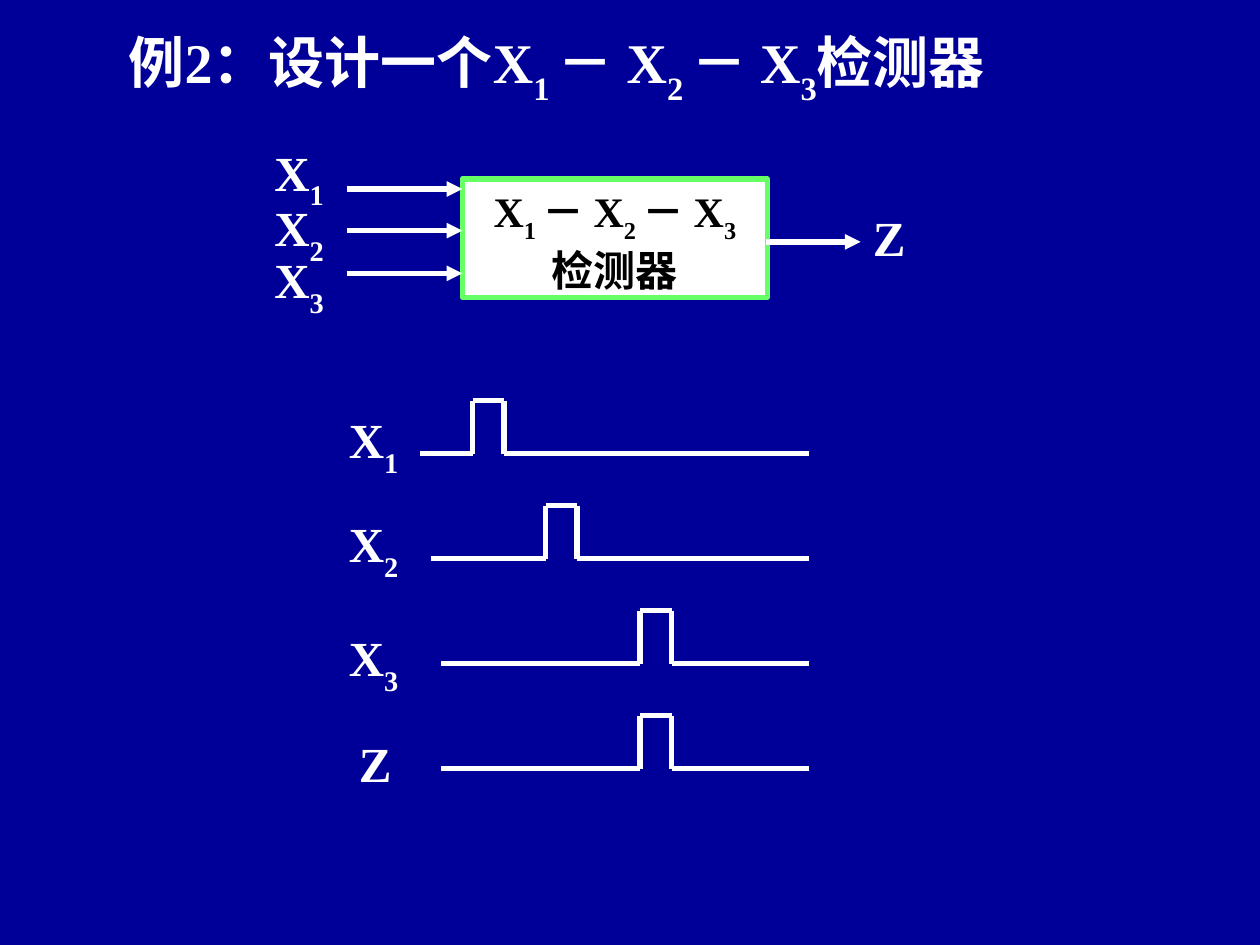
import itertools

import pptx
import pptx.util
import pptx.dml.color
import pptx.enum.shapes
import pptx.enum.text
import pptx.oxml
import pptx.oxml.ns

Inches = pptx.util.Inches
ALIGN = pptx.enum.text.PP_ALIGN

COLORS = {"back": "000099", "white": "FFFFFF", "black": "000000", "green": "66FF66"}
FONT = "Times New Roman"

# Parts alternate between normal text and subscript.
SEQUENCE = ["X", "1 ", "－ X", "2 ", "－ X", "3", "检测器"]
TITLE = ["例2：设计一个" + SEQUENCE[0], *SEQUENCE[1:]]
BOX = (3.67, 1.42, 2.42, 0.94)
LABELS = [
    (["X", "1"], 2.08, 1.08, 0.67),
    (["X", "2"], 2.08, 1.52, 0.67),
    (["X", "3"], 2.08, 1.93, 0.67),
    (["Z"], 6.83, 1.6, 0.75),
    (["X", "1"], 2.67, 3.2, 0.67),
    (["X", "2"], 2.67, 4.03, 0.67),
    (["X", "3"], 2.67, 4.93, 0.67),
    (["Z"], 2.75, 5.77, 0.75),
]
ARROWS = [(2.75, 3.67, 1.5), (2.75, 3.67, 1.83), (2.75, 3.67, 2.17), (6.08, 6.83, 1.92)]
WAVES = [(3.33, 3.75), (3.42, 4.33), (3.5, 5.08), (3.5, 5.08)]
WAVE_TOP, WAVE_STEP, WAVE_END = 3.6, 2.5 / 3, 6.42
PULSE_WIDTH, PULSE_HEIGHT = 0.25, 0.42


def rgb(name):
    return pptx.dml.color.RGBColor.from_string(COLORS[name])


def write(shape, parts, size, color="white", align=ALIGN.LEFT):
    tf = shape.text_frame
    tf.word_wrap = True
    tf.auto_size = pptx.enum.text.MSO_AUTO_SIZE.NONE
    tf.vertical_anchor = pptx.enum.text.MSO_ANCHOR.TOP
    p = tf.paragraphs[0]
    p.alignment = align
    p.font.name, p.font.size, p.font.bold = FONT, pptx.util.Pt(size), True
    p.font.color.rgb = rgb(color)
    for i, part in enumerate(parts):
        r = p.add_run()
        r.text = part
        if i % 2:
            r._r.get_or_add_rPr().set("baseline", "-30000")


def line(s, start, end, arrow=False):
    c = s.shapes.add_connector(
        pptx.enum.shapes.MSO_CONNECTOR.STRAIGHT, *map(Inches, (*start, *end)))
    c.line.color.rgb = rgb("white")
    c.line.width = pptx.util.Pt(3)
    if arrow:
        tail = pptx.oxml.parse_xml(
            f'<a:tailEnd {pptx.oxml.ns.nsdecls("a")} type="triangle"/>')
        c.line._get_or_add_ln().append(tail)
    c._element.spPr.append(
        pptx.oxml.parse_xml(f'<a:effectLst {pptx.oxml.ns.nsdecls("a")}/>'))


def main():
    prs = pptx.Presentation()
    prs.slide_width, prs.slide_height = Inches(10), Inches(7.5)
    s = prs.slides.add_slide(prs.slide_layouts[5])
    s.background.fill.solid()
    s.background.fill.fore_color.rgb = rgb("back")

    title = s.shapes.title
    title.left, title.top, title.width, title.height = map(Inches, (0.92, 0.17, 7.08, 0.63))
    write(title, TITLE, 32)

    box = s.shapes.add_shape(pptx.enum.shapes.MSO_SHAPE.RECTANGLE, *map(Inches, BOX))
    box.shadow.inherit = False
    box.fill.solid()
    box.fill.fore_color.rgb = rgb("white")
    box.line.color.rgb = rgb("green")
    box.line.width = pptx.util.Pt(3)
    write(box, SEQUENCE, 24, "black", ALIGN.CENTER)

    for left, right, y in ARROWS:
        line(s, (left, y), (right, y), arrow=True)

    for i, (start, rise) in enumerate(WAVES):
        low = WAVE_TOP + i * WAVE_STEP
        high, fall = low - PULSE_HEIGHT, rise + PULSE_WIDTH
        points = [(start, low), (rise, low), (rise, high),
                  (fall, high), (fall, low), (WAVE_END, low)]
        for a, b in itertools.pairwise(points):
            line(s, a, b)

    for parts, left, top, width in LABELS:
        label = s.shapes.add_textbox(*map(Inches, (left, top, width, 0.57)))
        write(label, parts, 28)

    prs.save("out.pptx")


if __name__ == "__main__":
    main()
